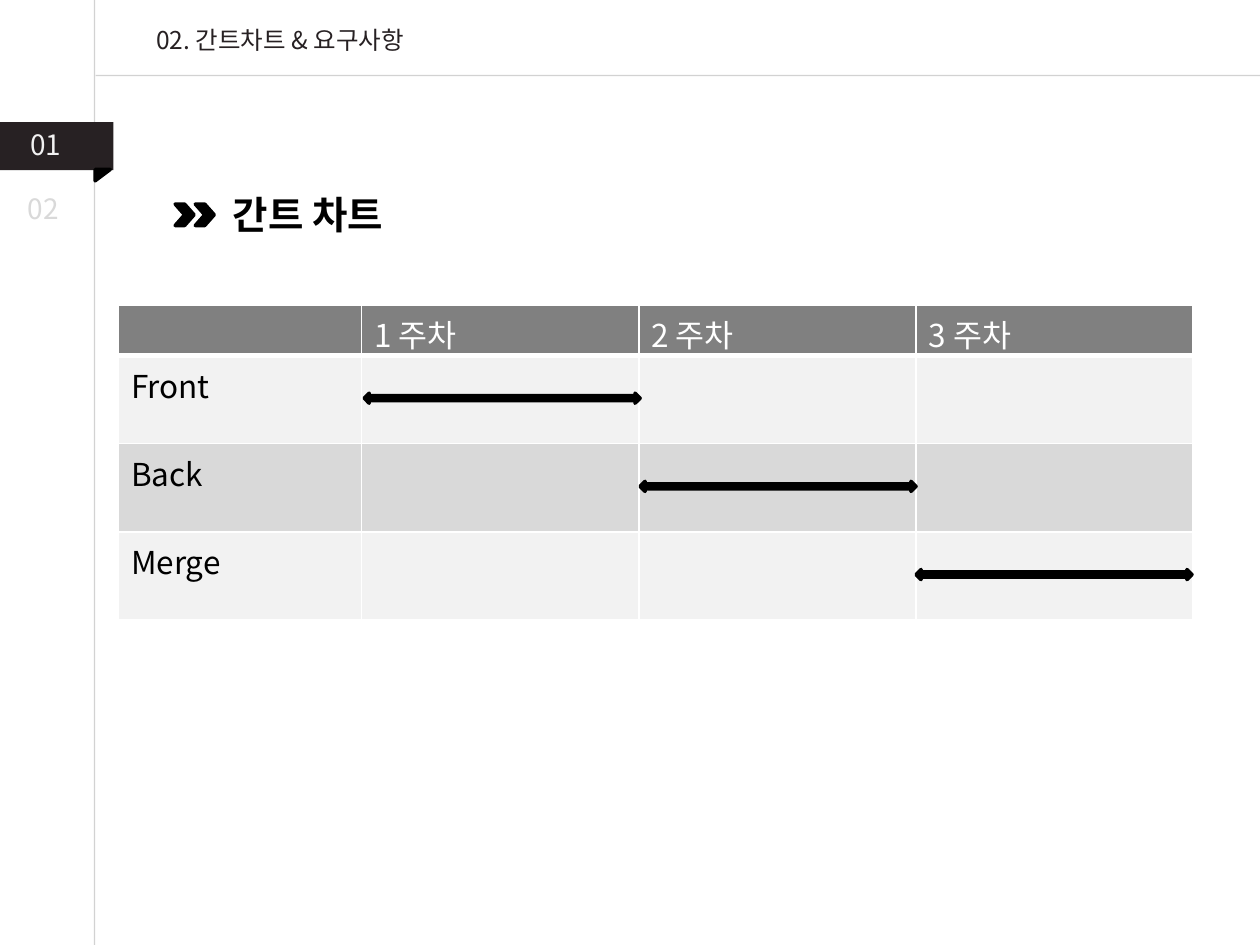
"""Build the Gantt chart slide."""
from lxml.etree import SubElement
from pptx import Presentation
from pptx.dml.color import RGBColor
from pptx.enum.shapes import MSO_CONNECTOR, MSO_SHAPE as SHAPE
from pptx.enum.text import MSO_AUTO_SIZE as AUTO
from pptx.oxml.ns import qn
from pptx.util import Pt

PX = 9144
FONT = "Noto Sans CJK KR"
COLORS = {"ink": "272123", "black": "000000", "white": "FFFFFF", "rule": "A6A6A6",
          "head": "808080", "light": "F2F2F2", "mid": "D9D9D9"}


def rgb(name):
    return RGBColor.from_string(COLORS[name])


def write(tf, text, size=18, color="black", bold=False):
    r = tf.paragraphs[0].add_run()
    r.text = text
    r.font.size, r.font.bold, r.font.name = Pt(size), bold, FONT
    r.font.color.rgb = rgb(color)
    SubElement(r.font._element, qn("a:ea"), typeface=FONT)


class Deck:
    def __init__(self, width, height):
        self.prs = Presentation()
        self.prs.slide_width, self.prs.slide_height = width * PX, height * PX
        self.s = self.prs.slides.add_slide(self.prs.slide_layouts[6])

    def rule(self, x1, y1, x2, y2):
        sp = self.s.shapes.add_connector(
            MSO_CONNECTOR.STRAIGHT, *(v * PX for v in (x1, y1, x2, y2)))
        sp.line.width = Pt(0.75)
        sp.line.color.rgb = rgb("rule")
        clr = sp._element.spPr.find(".//" + qn("a:srgbClr"))
        SubElement(clr, qn("a:alpha"), val="50000")
        SubElement(sp._element.spPr, qn("a:effectLst"))

    def shape(self, kind, x, y, w, h, color="black", outline=2, rotation=0):
        sp = self.s.shapes.add_shape(kind, x * PX, y * PX, w * PX, h * PX)
        sp.shadow.inherit = False
        sp.rotation = rotation
        sp.fill.solid()
        sp.fill.fore_color.rgb = rgb(color)
        if outline:
            sp.line.width = Pt(outline)
            sp.line.color.rgb = rgb(color)
        else:
            sp.line.fill.background()

    def text(self, text, x, y, w, h, **style):
        tf = self.s.shapes.add_textbox(x * PX, y * PX, w * PX, h * PX).text_frame
        tf.word_wrap = True
        tf.auto_size = AUTO.SHAPE_TO_FIT_TEXT
        write(tf, text, **style)

    def borders(self, cell, bottom):
        tc_pr = cell._tc.get_or_add_tcPr()
        for i, (side, width) in enumerate(zip("LRTB", (1, 1, 1, bottom))):
            ln = SubElement(tc_pr, qn(f"a:ln{side}"), w=str(Pt(width)))
            fill = SubElement(ln, qn("a:solidFill"))
            SubElement(fill, qn("a:srgbClr"), val=COLORS["white"])
            tc_pr.insert(i, ln)

    def table(self, rows, x, y, widths, heights, fills):
        table = self.s.shapes.add_table(
            len(rows), len(widths), x * PX, y * PX,
            sum(widths) * PX, sum(heights) * PX).table
        for col, width in zip(table.columns, widths):
            col.width = width * PX
        for i, (row, height, fill) in enumerate(zip(rows, heights, fills)):
            table.rows[i].height = height * PX
            for cell, text in zip(table.rows[i].cells, row):
                cell.fill.solid()
                cell.fill.fore_color.rgb = rgb(fill)
                self.borders(cell, bottom=1 if i else 3)
                if text:
                    write(cell.text_frame, text, color="black" if i else "white")


def main():
    deck = Deck(1000, 750)
    deck.rule(75, 0, 75, 750)
    deck.rule(76, 60, 1000, 60)

    deck.shape(SHAPE.RECTANGLE, 0, 97, 90, 38, color="ink", outline=0)
    deck.shape(SHAPE.RIGHT_TRIANGLE, 77, 133, 9, 12, rotation=90)
    deck.text("01", 14, 96, 59, 37, size=16, color="light")
    deck.text("02", 12, 147, 61, 37, size=16, color="mid")

    weeks = ["1 주차", "2 주차", "3 주차"]
    tasks = ["Front", "Back", "Merge"]
    rows = [["", *weeks]] + [[task, "", "", ""] for task in tasks]
    deck.table(rows, 94, 242, [193, 220, 220, 220], [40, 70, 70, 70],
               ["head", "light", "mid", "light"])
    for i in range(len(tasks)):
        deck.shape(SHAPE.LEFT_RIGHT_ARROW, 289 + 219 * i, 312 + 70 * i, 219, 8)

    for x in (155, 139):
        deck.shape(SHAPE.CHEVRON, x, 162, 15, 17)
    deck.text("간트 차트", 175, 147, 409, 47, size=22, bold=True)
    deck.text("02. 간트차트 & 요구사항", 114, 15, 299, 34, size=14, color="ink")
    deck.prs.save("out.pptx")


if __name__ == "__main__":
    main()
